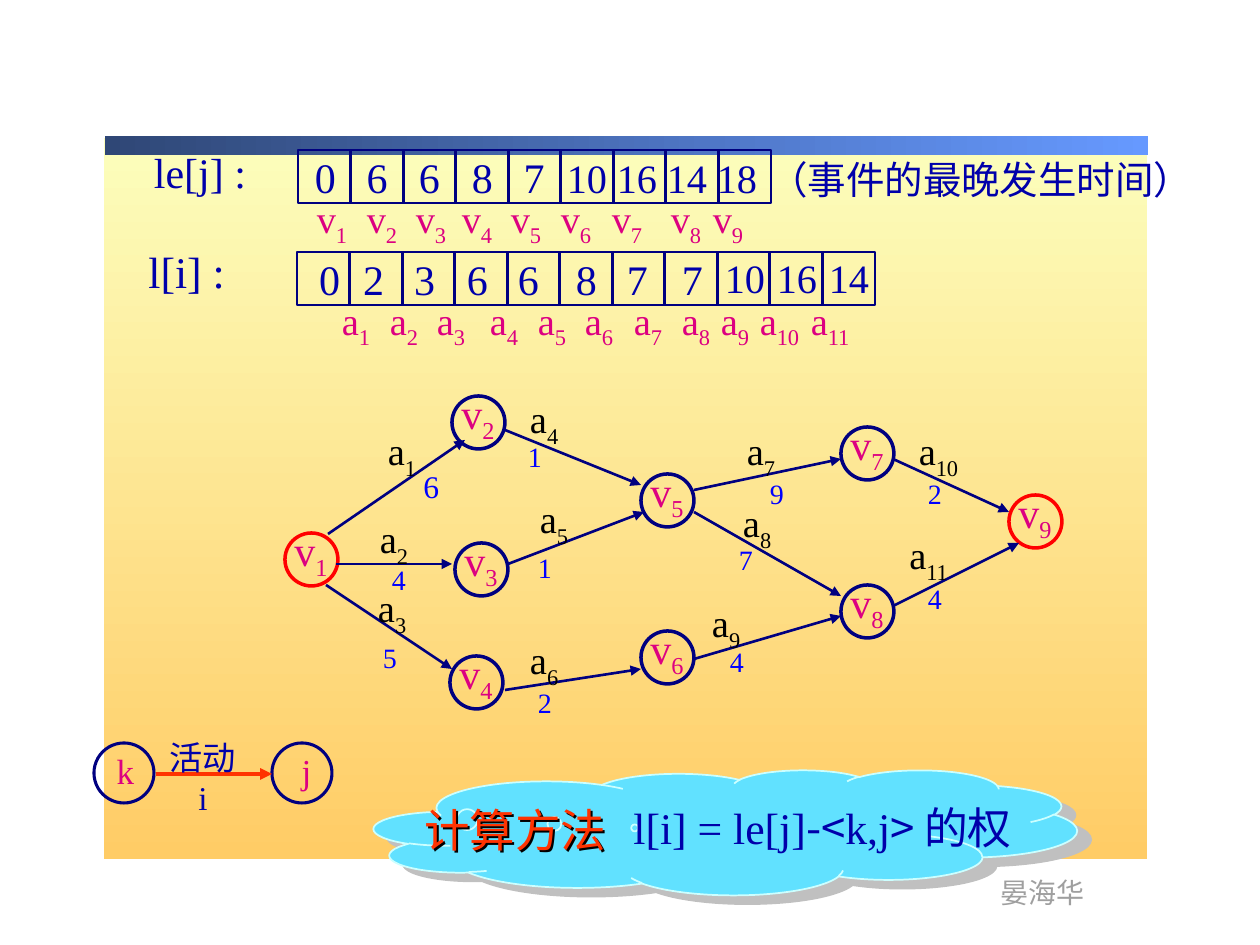
"""Slide on the latest start times of activities in an activity network."""
from lxml import etree
from pptx import Presentation
from pptx.dml.color import RGBColor
from pptx.enum.shapes import MSO_CONNECTOR, MSO_SHAPE
from pptx.enum.text import PP_ALIGN
from pptx.oxml.ns import qn
from pptx.util import Pt

PX = 914400 / 126
RECT, OVAL, CLOUD = MSO_SHAPE.RECTANGLE, MSO_SHAPE.OVAL, MSO_SHAPE.CLOUD_CALLOUT
LINE = MSO_CONNECTOR.STRAIGHT
LEFT, MID = PP_ALIGN.LEFT, PP_ALIGN.CENTER
SERIF, SANS, THIN = "Times New Roman", "Noto Sans CJK SC", "Arial Narrow"
NAVY, INK, PINK, BLUE = "000080", "0000AA", "DC0081", "0000FF"
RED, FIRE, BLACK = "FF0000", "FF3300", "000000"
INSET = 12.6
CELL, STEP = 53, 52.5

LATE = ["0", "6", "6", "8", "7", "10", "16", "14", "18"]
LATE_X = [315, 367, 419, 472, 524, 567, 617, 667, 717]
EVENT_X = [317, 367, 416, 462, 511, 561, 612, 671, 713]
ACT_X = [342, 390, 437, 490, 538, 585, 634, 682, 721, 760, 811]
START = [("0", 306), ("2", 350), ("3", 401), ("6", 454), ("6", 505), ("8", 563),
         ("7", 614), ("7", 669), ("10", 712), ("16", 764), ("14", 816)]
NODES = [("1", 285, 533, RED), ("2", 452, 396, NAVY), ("3", 455, 543, NAVY),
         ("4", 450, 656, NAVY), ("5", 641, 474, NAVY), ("6", 641, 631, NAVY),
         ("7", 841, 427, NAVY), ("8", 841, 585, NAVY), ("9", 1009, 495, RED)]
EDGES = [  # arrow, label corner, weight, weight corner
    ((328, 534, 465, 440), (373, 421), "6", (411, 461)),
    ((336, 564, 452, 564), (365, 509), "4", (379, 556)),
    ((326, 585, 452, 669), (363, 578), "5", (370, 634)),
    ((505, 430, 641, 485), (515, 389), "1", (515, 433)),
    ((508, 564, 644, 512), (525, 489), "1", (525, 544)),
    ((505, 690, 641, 669), (515, 630), "2", (525, 679)),
    ((694, 490, 841, 459), (732, 421), "9", (757, 470)),
    ((694, 512, 841, 596), (728, 493), "7", (726, 536)),
    ((694, 659, 841, 616), (697, 593), "4", (717, 638)),
    ((893, 459, 1009, 512), (903, 421), "2", (915, 470)),
    ((893, 606, 1019, 543), (893, 525), "4", (915, 575)),
]

deck = Presentation()
deck.slide_width, deck.slide_height = round(1260 * PX), round(945 * PX)
slide = deck.slides.add_slide(deck.slide_layouts[6])
shapes = slide.shapes


def emu(*vals):
    return [round(v * PX) for v in vals]


def rgb(code):
    return RGBColor.from_string(code)


def shape(kind, box, fill=None, line=None, width=1.5, angle=0):
    item = shapes.add_shape(kind, *emu(*box))
    item.shadow.inherit = False
    if isinstance(fill, tuple):
        item.fill.gradient()
        item.fill.gradient_angle = angle
        for stop, code, pos in zip(item.fill.gradient_stops, fill, (0, 1)):
            stop.color.rgb, stop.position = rgb(code), pos
    elif fill:
        item.fill.solid()
        item.fill.fore_color.rgb = rgb(fill)
    else:
        item.fill.background()
    if line:
        item.line.color.rgb, item.line.width = rgb(line), Pt(width)
    else:
        item.line.fill.background()
    return item


def shade(item, code, dist, angle):
    item.shadow.inherit = False
    glow = etree.SubElement(item._element.spPr.find(qn("a:effectLst")), qn("a:outerShdw"),
                            dist=str(Pt(dist)), dir=str(angle * 60000), algn="ctr", rotWithShape="0")
    etree.SubElement(glow, qn("a:srgbClr"), val=code)


def arrow(ends, color=NAVY, width=1.5):
    item = shapes.add_connector(LINE, *emu(*ends))
    item.line.color.rgb, item.line.width = rgb(color), Pt(width)
    etree.SubElement(item.line._get_or_add_ln(), qn("a:tailEnd"), type="triangle")
    etree.SubElement(item._element.spPr, qn("a:effectLst"))


def text(box, parts, size=24, color=INK, font=SERIF, align=MID, tabs=(), wrap=False):
    item = shapes.add_textbox(*emu(*box))
    item.text_frame.word_wrap = wrap
    para = item.text_frame.paragraphs[0]
    para.alignment = align
    if tabs:
        stops = etree.SubElement(para._p.get_or_add_pPr(), qn("a:tabLst"))
        for spot in emu(*tabs):
            etree.SubElement(stops, qn("a:tab"), pos=str(spot), algn="l")
    for part in [(parts, {})] if isinstance(parts, str) else parts:
        words, extra = part
        if words == "\n":
            para.add_line_break()
            continue
        run = para.add_run()
        run.text = words
        run.font.size = Pt(extra.get("size", size))
        run.font.name = extra.get("font", font)
        run.font.color.rgb = rgb(color)
        if "sub" in extra:
            run.font._element.set("baseline", str(extra["sub"] * 1000))
    return item


def mark(name, num, sub):
    return [(name, {}), (str(num), {"sub": sub})]


def row(spots, y, groups, **style):
    parts = [p for i, group in enumerate(groups) for p in ([("\t", {})] if i else []) + group]
    box = (spots[0] - INSET, y, spots[-1] - spots[0] + 90, 60)
    text(box, parts, align=LEFT, wrap=True, tabs=[x - spots[0] for x in spots[1:]], **style)


def cells(x, y, count):
    for i in range(count):
        shape(RECT, (x + i * STEP, y, CELL, CELL), line=NAVY)


def tables():
    cells(298, 150, len(LATE))
    text((139, 140, 122, 63), "le[j] :")
    row(LATE_X, 145, [[(v, {"size": 24 if len(v) == 1 else 23})] for v in LATE])
    row(EVENT_X, 189, [mark("v", i + 1, -25) for i in range(len(EVENT_X))], size=22, color=PINK)
    text((757, 150, 451, 59), "（事件的最晚发生时间）", size=22, align=LEFT)
    cells(297, 252, len(START))
    text((136, 239, 105, 66), "l[i] :", size=25, align=LEFT)
    row(ACT_X, 291, [mark("a", i + 1, -25) for i in range(len(ACT_X))], size=22, color=PINK)
    for value, x in START:
        wide = len(value) > 1
        text((x, 247, 66 if wide else 47, 63), value, size=23 if wide else 24)


def graph():
    for num, x, y, color in NODES:
        shape(OVAL, (x, y, CELL, CELL), line=color, width=2)
        text((x - 4, y - 15, 60, 63), mark("v", num, -24), color=PINK)
    for i, (ends, spot, weight, place) in enumerate(EDGES, 1):
        arrow(ends)
        text((*spot, 58 if i < 10 else 71, 59), mark("a", i, -28), size=22, color=BLACK)
        text((*place, 40, 47), weight, size=18 if i == 1 else 16, color=BLUE)


def legend():
    for name, x, left in (("k", 94, 103), ("j", 272, 288)):
        shape(OVAL, (x, 743, 60, 60), line=NAVY, width=1.75)
        text((left, 743, 45 if name == "k" else 37, 54), name, size=20, color=PINK)
    arrow((156, 774, 272, 774), FIRE, 2.25)
    text((152, 731, 102, 53), [("活动", {"font": SANS}), ("\n", {}), ("i", {})], size=19)


def method():
    cloud = shape(CLOUD, (374, 770, 703, 125), "61E1FF", "CCFFFF", 1)
    cloud.adjustments[0], cloud.adjustments[1] = -0.129, -0.036
    shade(cloud, "C0C0C0", 9.4, 32)
    title = text((412, 796, 267, 67), "计算方法", size=26, color=FIRE, align=LEFT, wrap=True)
    shade(title, BLACK, 1.5, 45)
    sans = {"font": SANS}
    text((621, 795, 575, 66), [("l[i] = le[j]", {}), ("-<", sans), ("k,j", {}), ("> ", sans),
                               ("的权", {})], size=25, align=LEFT, wrap=True)


def main():
    shape(RECT, (104, 138, 1043, 721), ("FCFEBC", "FFCC66"), angle=270)
    shape(RECT, (105, 136, 1043, 19), ("2F4776", "6699FF"))
    text((988, 869, 110, 47), "晏海华", size=16, color="9F9F9F", font=THIN, align=LEFT)
    legend()
    method()
    tables()
    graph()
    deck.save("out.pptx")


if __name__ == "__main__":
    main()
